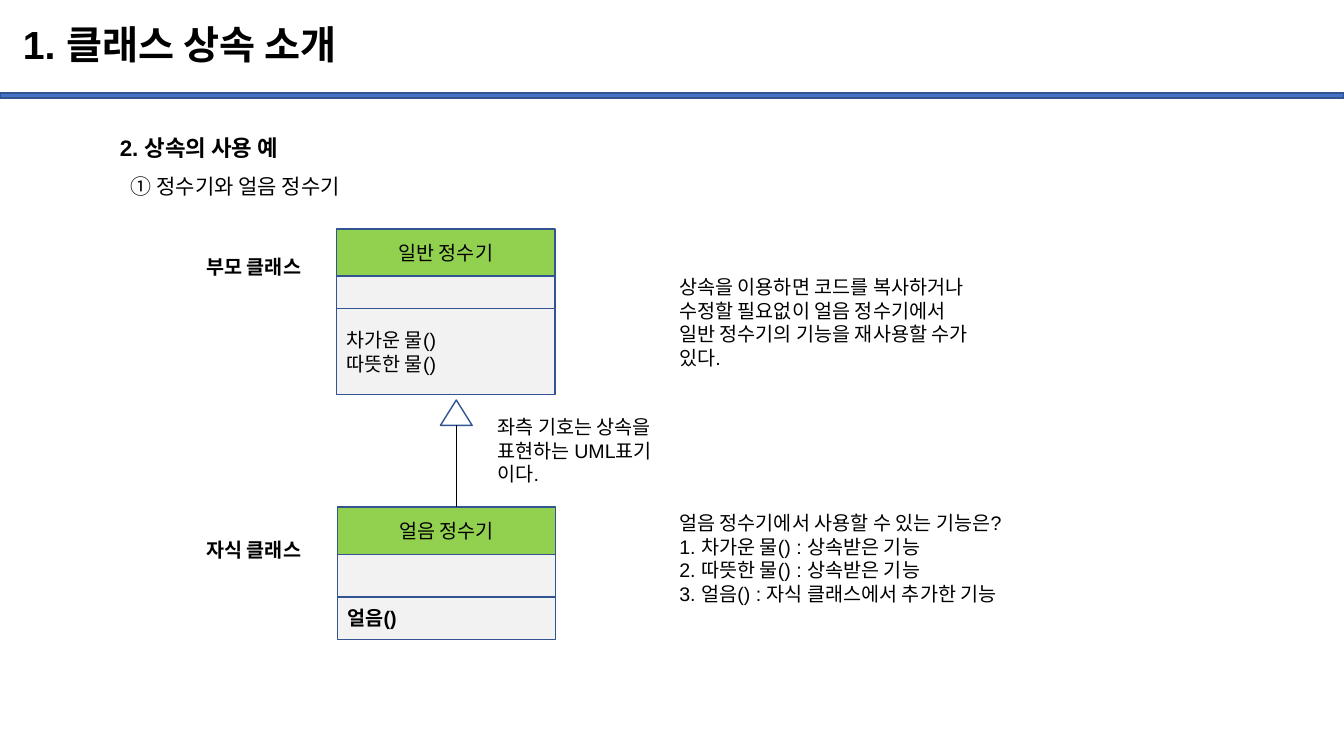
from dataclasses import dataclass

from lxml.etree import SubElement
from pptx import Presentation
from pptx.dml.color import RGBColor
from pptx.enum.shapes import MSO_CONNECTOR, MSO_SHAPE
from pptx.enum.text import MSO_ANCHOR, MSO_AUTO_SIZE, PP_ALIGN
from pptx.oxml.ns import qn
from pptx.util import Cm, Pt


@dataclass(frozen=True)
class Theme:
    """Colours, font and type sizes of the slide."""

    font: str = "Arial"
    ink: RGBColor = RGBColor(0, 0, 0)
    rule: RGBColor = RGBColor(0x44, 0x72, 0xC4)
    outline: RGBColor = RGBColor(0x32, 0x54, 0x91)
    header: RGBColor = RGBColor(0x92, 0xD0, 0x50)
    member: RGBColor = RGBColor(0xF2, 0xF2, 0xF2)
    title_size: int = 28
    heading_size: int = 16
    item_size: int = 15
    body_size: int = 14


THEME = Theme()


def write_paragraph(paragraph, text, size=THEME.body_size, bold=False,
                    align=PP_ALIGN.LEFT, spacing=None, indent=0):
    """Write one formatted paragraph."""
    run = paragraph.add_run()
    run.text = text
    run.font.name = THEME.font
    run.font.size = Pt(size)
    run.font.bold = bold
    run.font.color.rgb = THEME.ink
    paragraph.alignment = align
    paragraph.line_spacing = spacing
    if indent:
        paragraph._p.get_or_add_pPr().set("marL", str(Cm(indent)))


def write_lines(frame, lines, **style):
    """Write each line as a paragraph of the text frame."""
    for index, line in enumerate(lines):
        paragraph = frame.add_paragraph() if index else frame.paragraphs[0]
        write_paragraph(paragraph, line, **style)


def add_text(slide, left, top, width, height, lines, wrap=False,
             anchor=MSO_ANCHOR.TOP, **style):
    """Add a text box and return its text frame."""
    frame = slide.shapes.add_textbox(
        Cm(left), Cm(top), Cm(width), Cm(height)).text_frame
    frame.word_wrap = wrap
    frame.auto_size = MSO_AUTO_SIZE.NONE if wrap else MSO_AUTO_SIZE.SHAPE_TO_FIT_TEXT
    frame.vertical_anchor = anchor
    write_lines(frame, lines, **style)
    return frame


def add_figure(slide, kind, left, top, width, height, fill=None):
    """Add an outlined preset shape, filled when a colour is given."""
    shape = slide.shapes.add_shape(kind, Cm(left), Cm(top), Cm(width), Cm(height))
    shape.shadow.inherit = False
    shape.line.color.rgb = THEME.outline
    shape.line.width = Pt(1)
    if fill is None:
        shape.fill.background()
    else:
        shape.fill.solid()
        shape.fill.fore_color.rgb = fill
    return shape


def add_class(slide, left, top, width, heights, name, methods, bold=False):
    """Stack the name, attribute and method boxes of a UML class."""
    sections = (
        ([name], THEME.header, {"align": PP_ALIGN.CENTER}),
        ([], THEME.member, {}),
        (methods, THEME.member, {"bold": bold}),
    )
    for (lines, fill, style), height in zip(sections, heights):
        box = add_figure(slide, MSO_SHAPE.RECTANGLE, left, top, width, height, fill)
        box.text_frame.vertical_anchor = MSO_ANCHOR.MIDDLE
        write_lines(box.text_frame, lines, **style)
        top += height


def add_inheritance(slide, center, top, base, bottom):
    """Draw the hollow triangle and stem of UML inheritance."""
    width = 0.8
    add_figure(slide, MSO_SHAPE.ISOSCELES_TRIANGLE,
               center - width / 2, top, width, base - top)
    stem = slide.shapes.add_connector(
        MSO_CONNECTOR.STRAIGHT, Cm(center), Cm(base), Cm(center), Cm(bottom))
    stem.line.color.rgb = THEME.ink
    stem.line.width = Pt(0.75)
    SubElement(stem._element.spPr, qn("a:effectLst"))


def add_headings(slide):
    """Add the title, its rule and the section headings."""
    add_figure(slide, MSO_SHAPE.RECTANGLE, 0, 2.34, 33.87, 0.13, THEME.rule)
    add_text(slide, 0.33, 0.25, 29.21, 1.88, ["1. 클래스 상속 소개"], wrap=True,
             anchor=MSO_ANCHOR.MIDDLE, size=THEME.title_size, bold=True, spacing=0.9)
    section = add_text(slide, 2.77, 2.92, 29.77, 2.11, ["2. 상속의 사용 예"],
                       wrap=True, size=THEME.heading_size, bold=True, spacing=1.5)
    write_paragraph(section.add_paragraph(), "① 정수기와 얼음 정수기",
                    size=THEME.item_size, spacing=1.5, indent=0.28)


def main():
    """Build the class inheritance slide."""
    presentation = Presentation()
    presentation.slide_width = Cm(33.87)
    presentation.slide_height = Cm(19.05)
    slide = presentation.slides.add_slide(presentation.slide_layouts[6])

    add_headings(slide)
    add_class(slide, 8.48, 5.77, 5.51, (1.19, 0.81, 2.18),
              "일반 정수기", ["차가운 물()", "따뜻한 물()"])
    add_class(slide, 8.51, 12.78, 5.49, (1.19, 1.07, 1.07),
              "얼음 정수기", ["얼음()"], bold=True)
    add_inheritance(slide, 11.5, 10.08, 10.72, 12.78)

    for top, label in ((6.3, "부모 클래스"), (13.44, "자식 클래스")):
        add_text(slide, 4.95, top, 3.18, 0.86, [label], bold=True)

    add_text(slide, 16.87, 6.81, 8.69, 2.64, [
        "상속을 이용하면 코드를 복사하거나",
        "수정할 필요없이 얼음 정수기에서",
        "일반 정수기의 기능을 재사용할 수가",
        "있다.",
    ])
    add_text(slide, 12.29, 10.34, 4.85, 2.06, [
        "좌측 기호는 상속을",
        "표현하는 UML표기",
        "이다.",
    ])
    add_text(slide, 16.87, 12.75, 9.6, 2.64, [
        "얼음 정수기에서 사용할 수 있는 기능은?",
        "1. 차가운 물() : 상속받은 기능",
        "2. 따뜻한 물() : 상속받은 기능",
        "3. 얼음() : 자식 클래스에서 추가한 기능",
    ])
    presentation.save("out.pptx")


main()
